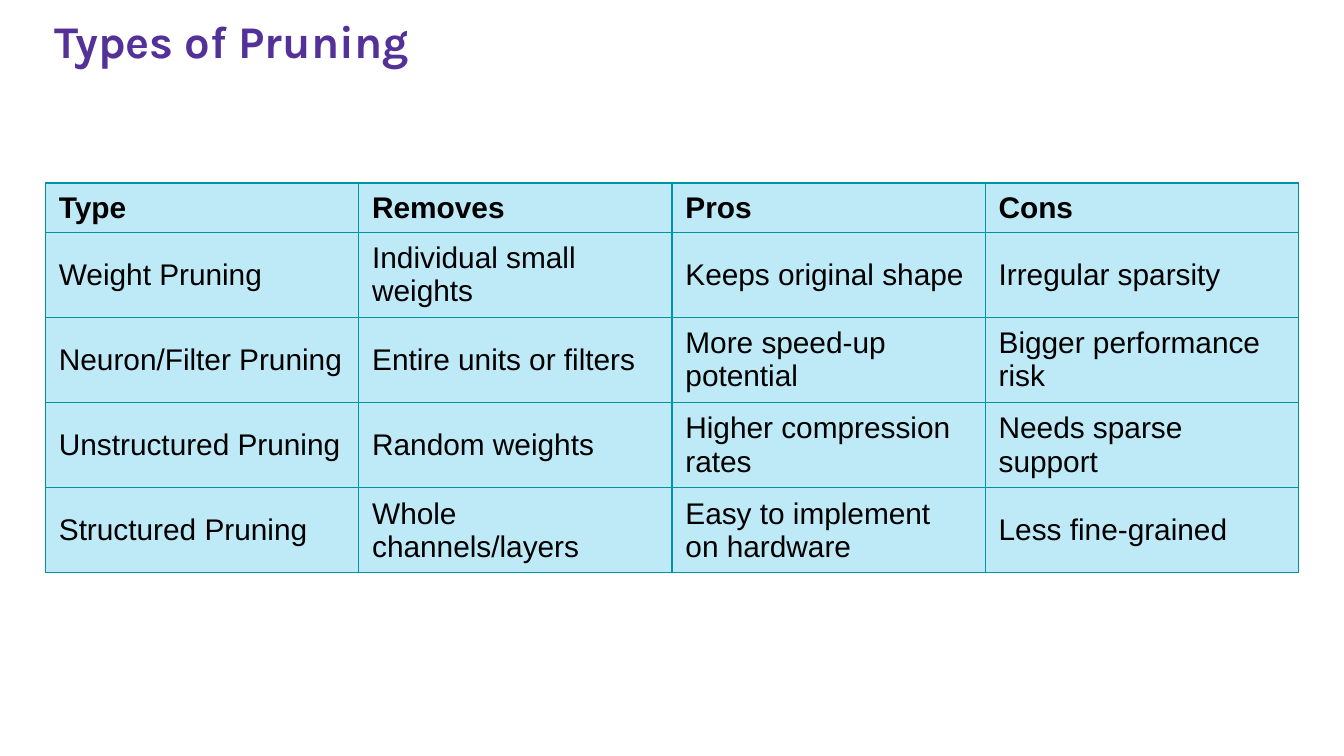
from pptx import Presentation
from pptx.dml.color import RGBColor
from pptx.enum.text import MSO_ANCHOR, PP_ALIGN
from pptx.oxml.ns import qn
from pptx.util import Cm, Pt
from lxml.etree import SubElement

TITLE_FORMAT = {"name": "Karla", "size": Pt(24.3), "bold": True}
HEADER_FORMAT = {"name": "Arial", "size": Pt(16), "bold": True}
BODY_FORMAT = {**HEADER_FORMAT, "bold": False}

PRUNING_TYPES = [
    ["Type", "Removes", "Pros", "Cons"],
    ["Weight Pruning", "Individual small weights", "Keeps original shape", "Irregular sparsity"],
    ["Neuron/Filter Pruning", "Entire units or filters", "More speed-up potential",
     "Bigger performance risk"],
    ["Unstructured Pruning", "Random weights", "Higher compression rates", "Needs sparse support"],
    ["Structured Pruning", "Whole channels/layers", "Easy to implement on hardware",
     "Less fine-grained"],
]


def color(value):
    return RGBColor.from_string(value)


def write(frame, text, font_format, text_color):
    para = frame.paragraphs[0]
    para.alignment = PP_ALIGN.LEFT
    span = para.add_run()
    span.text = text
    for name, value in font_format.items():
        setattr(span.font, name, value)
    span.font.color.rgb = color(text_color)


def add_title(page, text):
    box = page.shapes.add_textbox(Cm(0.79), Cm(0), Cm(20.17), Cm(1.75))
    frame = box.text_frame
    frame.word_wrap = True
    frame.vertical_anchor = MSO_ANCHOR.TOP
    for side in ("left", "top", "right", "bottom"):
        setattr(frame, f"margin_{side}", Cm(0.25))
    write(frame, text, TITLE_FORMAT, "543198")


def add_borders(cell, line_color, width):
    """Draw all four cell borders; they must come before the cell's fill."""
    properties = cell._tc.get_or_add_tcPr()
    for side in ("a:lnL", "a:lnR", "a:lnT", "a:lnB"):
        line = SubElement(properties, qn(side), w=str(width))
        fill = SubElement(line, qn("a:solidFill"))
        SubElement(fill, qn("a:srgbClr"), val=line_color)


def add_pruning_table(page, rows):
    table = page.shapes.add_table(
        len(rows), len(rows[0]), Cm(0.86), Cm(3.46), Cm(23.68), Cm(6.92)).table
    for row_index, texts in enumerate(rows):
        is_header = row_index == 0
        table.rows[row_index].height = Cm(0.88 if is_header else 1.51)
        for column_index, text in enumerate(texts):
            cell = table.cell(row_index, column_index)
            cell.vertical_anchor = MSO_ANCHOR.MIDDLE
            add_borders(cell, "0094A3", Pt(0.75))
            cell.fill.solid()
            cell.fill.fore_color.rgb = color("BEE9F6")
            write(cell.text_frame, text, HEADER_FORMAT if is_header else BODY_FORMAT, "000000")


def main():
    deck = Presentation()
    deck.slide_width, deck.slide_height = Cm(25.4), Cm(14.29)
    page = deck.slides.add_slide(deck.slide_layouts[6])
    add_title(page, "Types of Pruning")
    add_pruning_table(page, PRUNING_TYPES)
    deck.save("out.pptx")


if __name__ == "__main__":
    main()
